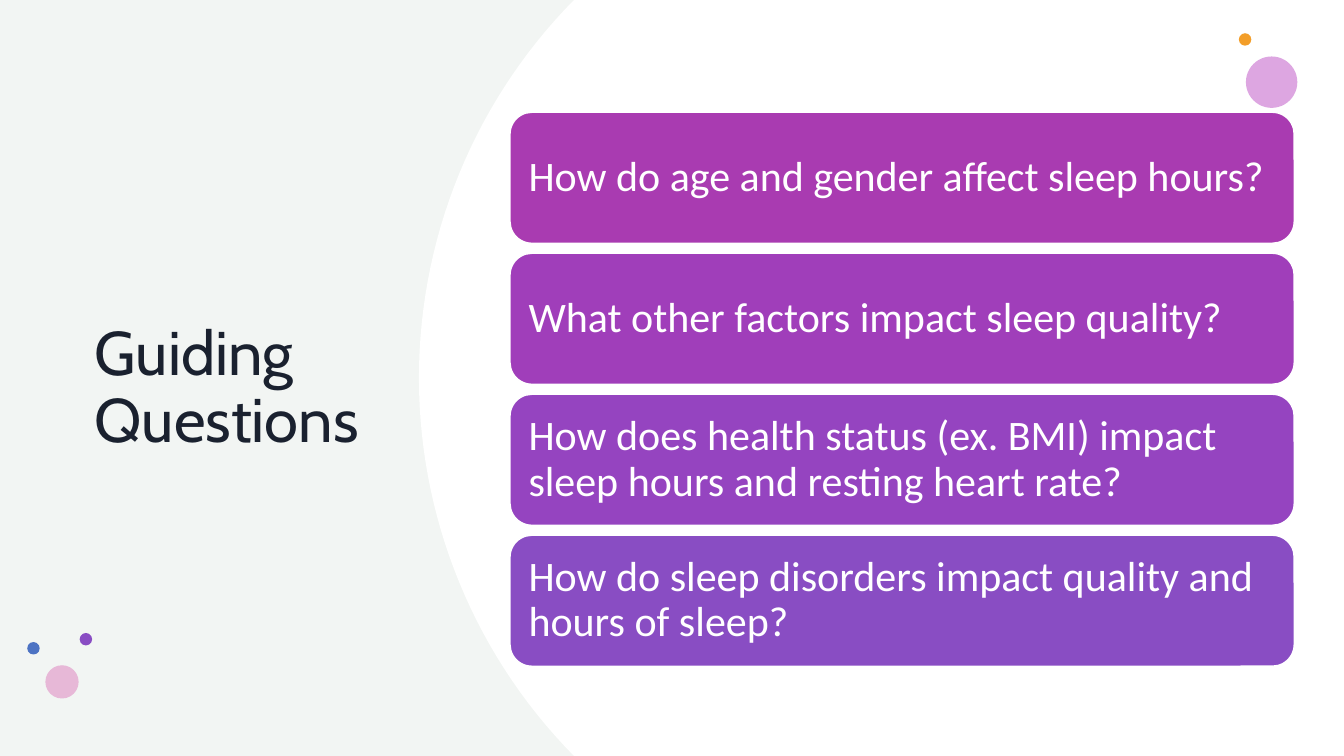
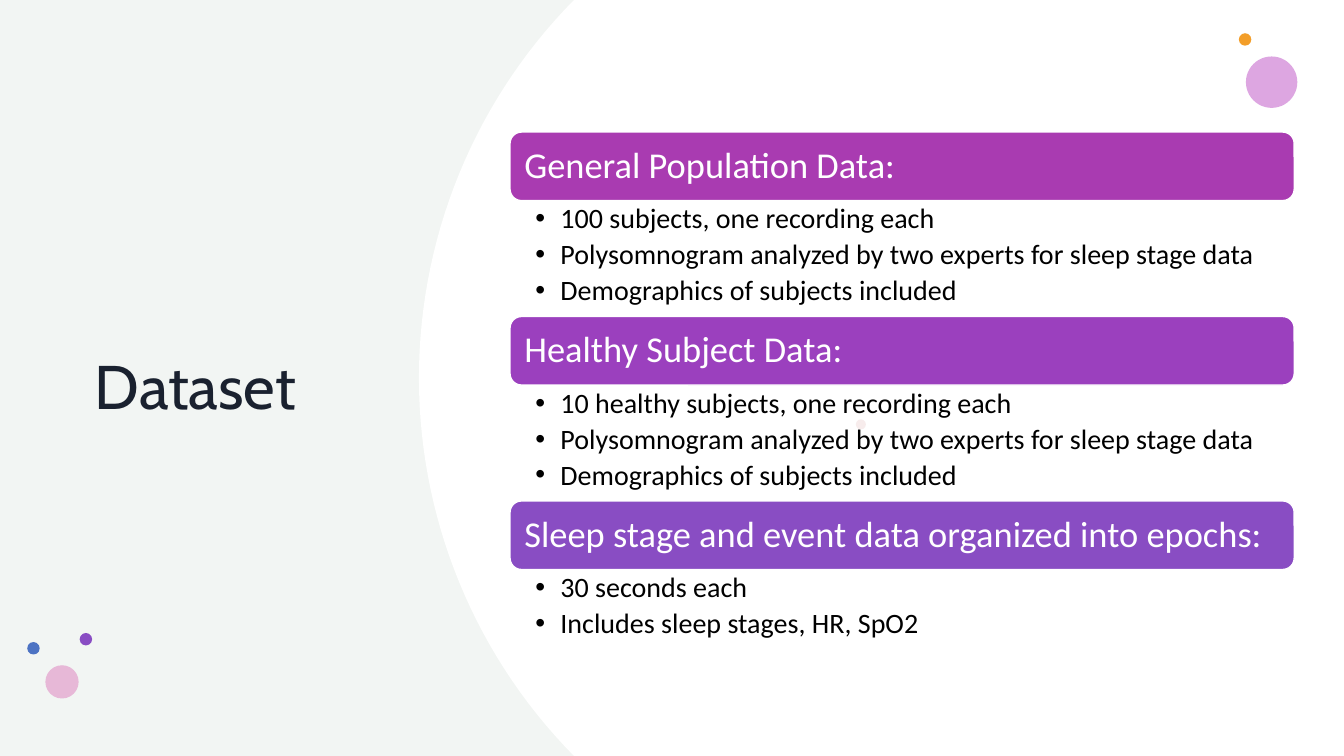
from copy import deepcopy
from dataclasses import dataclass
from math import asin, cos, sin
from typing import NamedTuple

from lxml import etree
from pptx import Presentation
from pptx.dml.color import RGBColor
from pptx.enum.shapes import MSO_SHAPE
from pptx.enum.text import MSO_ANCHOR, MSO_AUTO_SIZE, PP_ALIGN
from pptx.oxml.ns import qn
from pptx.util import Emu, Inches, Pt

ELLIPSE = MSO_SHAPE.OVAL
ROUNDED = MSO_SHAPE.ROUNDED_RECTANGLE
MIDDLE = MSO_ANCHOR.MIDDLE
TOP = MSO_ANCHOR.TOP
LEFT = PP_ALIGN.LEFT
NO_FIT = MSO_AUTO_SIZE.NONE

PAGE_WIDTH = Inches(13.33)
PAGE_HEIGHT = Inches(7.5)
BAND_LEFT = 37.95
BAND_WIDTH = 58.35
ARC_CENTRE = 71.23
ARC_RADIUS = 71.2
ARC_STEPS = 60
TITLE_LAYOUT = 5
LIST_LAYOUT = 1
FIRST_LIST = 21


@dataclass(frozen=True)
class Theme:
    heading_font: str = "Cabin"
    text_font: str = "Calibri"
    title_size: int = 44
    question_size: int = 30
    group_size: int = 26
    bullet_size: int = 20
    side: str = "F2F5F3"
    paper: str = "FFFFFF"
    ink: str = "1A212F"
    text: str = "000000"
    question_fills: tuple[str, ...] = ("A93BB1", "A03EBA", "9544C0", "894DC3")
    group_fills: tuple[str, ...] = ("A93BB1", "9B40BE", "894DC3")


THEME = Theme()


class Disc(NamedTuple):
    left: float
    top: float
    diameter: float
    colour: str
    opacity: int = 100


class Style(NamedTuple):
    font: str
    size: int
    colour: str
    space_after: float = 0


class BandStyle(NamedTuple):
    height: float
    inset: float
    style: Style


class Group(NamedTuple):
    heading: str
    bullets: tuple[str, ...]
    list_height: float


DISCS = (
    Disc(92.7, 7.47, 6.8, "D084D6", 72),
    Disc(92.18, 4.4, 1.65, "F39E29"),
    Disc(5.93, 83.73, 1.65, "894DC3"),
    Disc(3.38, 88, 4.4, "E7B8D7"),
    Disc(2.03, 84.93, 1.65, "4D73C3"),
)
PALE_DISC = Disc(63.68, 55.47, 1.33, "E3BEBE", 28)

TITLE = Style(THEME.heading_font, THEME.title_size, THEME.ink)
BULLET = Style(THEME.text_font, THEME.bullet_size, THEME.text, 0.2)
QUESTION = BandStyle(
    17.33, 0.12, Style(THEME.text_font, THEME.question_size, THEME.paper, 0.35)
)
HEADING = BandStyle(
    9.07, 0.11, Style(THEME.text_font, THEME.group_size, THEME.paper, 0.35)
)

QUESTIONS = (
    "How do age and gender affect sleep hours?",
    "What other factors impact sleep quality?",
    "How does health status (ex. BMI) impact sleep hours and resting heart rate?",
    "How do sleep disorders impact quality and hours of sleep?",
)
POLYSOMNOGRAM = "Polysomnogram analyzed by two experts for sleep stage data"
DEMOGRAPHICS = "Demographics of subjects included"
GROUPS = (
    Group(
        "General Population Data:",
        ("100 subjects, one recording each", POLYSOMNOGRAM, DEMOGRAPHICS),
        15.33,
    ),
    Group(
        "Healthy Subject Data:",
        ("10 healthy subjects, one recording each", POLYSOMNOGRAM, DEMOGRAPHICS),
        15.33,
    ),
    Group(
        "Sleep stage and event data organized into epochs:",
        ("30 seconds each", "Includes sleep stages, HR, SpO2"),
        10.27,
    ),
)


def across(percent: float) -> Emu:
    return Emu(round(PAGE_WIDTH * percent / 100))


def down(percent: float) -> Emu:
    return Emu(round(PAGE_HEIGHT * percent / 100))


def place(shape, left: float, top: float, width: float, height: float) -> None:
    shape.left, shape.top = across(left), down(top)
    shape.width, shape.height = across(width), down(height)


def paint(shape, colour: str, opacity: int = 100) -> None:
    shape.shadow.inherit = False
    shape.fill.solid()
    shape.fill.fore_color.rgb = RGBColor.from_string(colour)
    shape.line.fill.background()
    if opacity < 100:
        tint = shape.element.spPr.find(".//" + qn("a:srgbClr"))
        etree.SubElement(tint, qn("a:alpha")).set("val", str(opacity * 1000))


def write(para, text: str, style: Style) -> None:
    para.alignment = LEFT
    para.line_spacing = 0.9
    para.space_before = Pt(0)
    para.space_after = Pt(style.size * style.space_after)
    span = para.add_run()
    span.text = text
    span.font.name = style.font
    span.font.size = Pt(style.size)
    span.font.color.rgb = RGBColor.from_string(style.colour)


def set_frame(frame, anchor, sides: float, ends: float) -> None:
    frame.word_wrap = True
    frame.auto_size = NO_FIT
    frame.vertical_anchor = anchor
    frame.margin_left = frame.margin_right = Inches(sides)
    frame.margin_top = frame.margin_bottom = Inches(ends)


def add_disc(page, disc: Disc):
    size = down(disc.diameter)
    shape = page.shapes.add_shape(
        ELLIPSE, across(disc.left), down(disc.top), size, size
    )
    paint(shape, disc.colour, disc.opacity)
    return shape


def add_curved_panel(page):
    centre, radius, middle = across(ARC_CENTRE), down(ARC_RADIUS), down(50)
    reach = asin(middle / radius)
    angles = [reach * (2 * step / ARC_STEPS - 1) for step in range(ARC_STEPS + 1)]
    arc = [
        (round(centre - radius * cos(angle)), round(middle + radius * sin(angle)))
        for angle in angles
    ]
    outline = page.shapes.build_freeform(PAGE_WIDTH, 0)
    outline.add_line_segments([*arc, (PAGE_WIDTH, PAGE_HEIGHT)], close=True)
    panel = outline.convert_to_shape()
    paint(panel, THEME.paper)
    return panel


def share_backdrop(deck, page) -> None:
    master = deck.slide_master
    master.background.fill.solid()
    master.background.fill.fore_color.rgb = RGBColor.from_string(THEME.side)
    backdrop = [add_curved_panel(page), *(add_disc(page, disc) for disc in DISCS)]
    for number, shape in enumerate(backdrop, start=101):
        shape.element.xpath(".//p:cNvPr")[0].set("id", str(number))
        master.shapes.element.append(shape.element)


def prepare_layouts(deck) -> None:
    for holder in deck.slide_master.placeholders:
        if holder.placeholder_format.idx == 0:
            place(holder, 6.3, 13.87, 23.48, 75.2)
    layout = deck.slide_layouts[LIST_LAYOUT]
    body = next(
        holder for holder in layout.placeholders if holder.placeholder_format.idx == 1
    ).element
    for number in range(FIRST_LIST, FIRST_LIST + len(GROUPS)):
        extra = deepcopy(body)
        extra.xpath(".//p:ph")[0].set("idx", str(number))
        extra.xpath(".//p:cNvPr")[0].set("id", str(number))
        body.addprevious(extra)
    body.getparent().remove(body)


def add_page(deck, layout: int, title: str):
    page = deck.slides.add_slide(deck.slide_layouts[layout])
    frame = page.shapes.title.text_frame
    set_frame(frame, MIDDLE, 0.1, 0.05)
    write(frame.paragraphs[0], title, TITLE)
    return page


def add_band(page, top: float, text: str, colour: str, band: BandStyle) -> None:
    box = page.shapes.add_shape(
        ROUNDED, across(BAND_LEFT), down(top), across(BAND_WIDTH), down(band.height)
    )
    paint(box, colour)
    box.line.color.rgb = RGBColor.from_string(THEME.paper)
    box.line.width = Pt(1)
    set_frame(box.text_frame, MIDDLE, band.inset, band.inset)
    write(box.text_frame.paragraphs[0], text, band.style)


def fill_list(box, top: float, group: Group) -> None:
    place(box, BAND_LEFT, top, BAND_WIDTH, group.list_height)
    frame = box.text_frame
    set_frame(frame, TOP, 0.25, 0.04)
    frame.margin_right = Inches(0.2)
    for number, text in enumerate(group.bullets):
        para = frame.add_paragraph() if number else frame.paragraphs[0]
        write(para, text, BULLET)
        properties = para._p.get_or_add_pPr()
        properties.set("marL", str(Inches(0.25)))
        properties.set("indent", str(-Inches(0.25)))
        etree.SubElement(properties, qn("a:buFont")).set("typeface", "Arial")
        etree.SubElement(properties, qn("a:buChar")).set("char", "•")


def build_questions(deck):
    page = add_page(deck, TITLE_LAYOUT, "Guiding Questions")
    for row, (text, colour) in enumerate(zip(QUESTIONS, THEME.question_fills)):
        add_band(page, 14.85 + row * 18.65, text, colour, QUESTION)
    return page


def build_dataset(deck) -> None:
    page = add_page(deck, LIST_LAYOUT, "Dataset")
    disc = add_disc(page, PALE_DISC)
    page.shapes.element.insert(2, disc.element)
    top = 17.47
    for row, (group, colour) in enumerate(zip(GROUPS, THEME.group_fills)):
        add_band(page, top, group.heading, colour, HEADING)
        fill_list(page.placeholders[FIRST_LIST + row], top + HEADING.height, group)
        top += HEADING.height + group.list_height


def main() -> None:
    deck = Presentation()
    deck.slide_width, deck.slide_height = PAGE_WIDTH, PAGE_HEIGHT
    prepare_layouts(deck)
    share_backdrop(deck, build_questions(deck))
    build_dataset(deck)
    deck.save("out.pptx")


if __name__ == "__main__":
    main()
